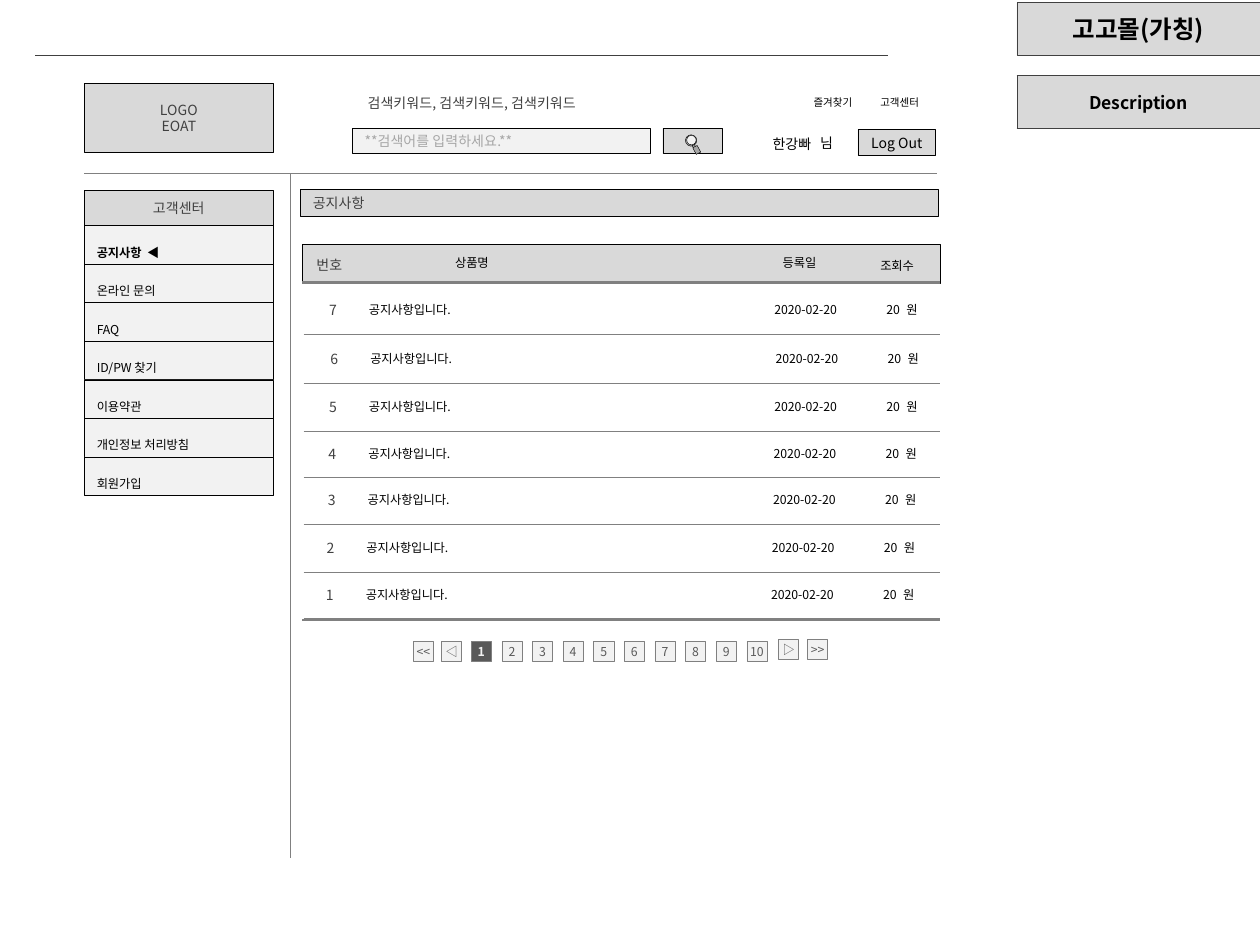
from dataclasses import dataclass

from lxml.etree import SubElement
from pptx import Presentation
from pptx.dml.color import RGBColor
from pptx.enum.shapes import MSO_CONNECTOR as Connector, MSO_SHAPE as Preset
from pptx.enum.text import MSO_ANCHOR as Anchor, MSO_AUTO_SIZE as AutoSize, PP_ALIGN as Align
from pptx.oxml.ns import qn
from pptx.util import Inches, Pt


@dataclass(frozen=True)
class Theme:
    font: str = "Noto Sans CJK KR"
    black: str = "000000"
    dark: str = "404040"
    strong: str = "595959"
    rule: str = "808080"
    muted: str = "A6A6A6"
    panel: str = "D9D9D9"
    light: str = "F2F2F2"
    title: float = 14
    heading: float = 10
    body: float = 8
    small: float = 7
    tiny: float = 6
    hairline: float = 0.25
    thin: float = 0.75
    thick: float = 1.5


THEME = Theme()
COLUMNS, ROWS = 100, 75
SLIDE_WIDTH, SLIDE_HEIGHT = Inches(10), Inches(7.5)
LEFT, CENTER, RIGHT = Align.LEFT, Align.CENTER, Align.RIGHT

MENU = ["공지사항  ◀", "온라인 문의", "FAQ", "ID/PW 찾기", "이용약관", "개인정보 처리방침", "회원가입"]
NOTICES = [
    ("7", 26.5, 0), ("6", 30.4, 0.1), ("5", 34.2, 0), ("4", 37.9, -0.05),
    ("3", 41.6, -0.1), ("2", 45.4, -0.2), ("1", 49.1, -0.25),
]


def col(count):
    return round(SLIDE_WIDTH * count / COLUMNS)


def row(count):
    return round(SLIDE_HEIGHT * count / ROWS)


def area(left, top, width, height):
    return col(left), row(top), col(width), row(height)


def write(frame, text, size, color, align=CENTER, bold=False, spacing=None):
    frame.text = text
    for paragraph in frame.paragraphs:
        paragraph.alignment = align
        if spacing:
            paragraph.line_spacing = spacing
        for run in paragraph.runs:
            run.font.size = Pt(size)
            run.font.bold = bold
            run.font.name = THEME.font
            run.font.color.rgb = RGBColor.from_string(color)
            SubElement(run.font._element, qn("a:ea"), typeface=THEME.font)


def remove_insets(frame):
    frame.margin_left = frame.margin_right = frame.margin_top = frame.margin_bottom = 0


def box(shapes, place, fill, outline=THEME.black, preset=Preset.RECTANGLE, turn=0):
    panel = shapes.add_shape(preset, *area(*place))
    panel.shadow.inherit = False
    panel.fill.solid()
    panel.fill.fore_color.rgb = RGBColor.from_string(fill)
    panel.line.color.rgb = RGBColor.from_string(outline)
    panel.line.width = Pt(THEME.hairline)
    panel.rotation = turn
    return panel


def labelled_box(shapes, place, fill, text, size, color, outline=THEME.black, tight=False, **style):
    frame = box(shapes, place, fill, outline).text_frame
    frame.word_wrap = True
    frame.vertical_anchor = Anchor.MIDDLE
    if tight:
        remove_insets(frame)
    write(frame, text, size, color, **style)


def label(shapes, place, text, size, color=THEME.black, align=LEFT, middle=False, wrap=True, tight=False):
    frame = shapes.add_textbox(*area(*place)).text_frame
    frame.word_wrap = wrap
    frame.auto_size = AutoSize.NONE if middle else AutoSize.SHAPE_TO_FIT_TEXT
    frame.vertical_anchor = Anchor.MIDDLE if middle else Anchor.TOP
    if tight:
        remove_insets(frame)
    write(frame, text, size, color, align)


def rule(shapes, start, end, color=THEME.rule, weight=THEME.hairline):
    stroke = shapes.add_connector(
        Connector.STRAIGHT, col(start[0]), row(start[1]), col(end[0]), row(end[1]))
    stroke.line.color.rgb = RGBColor.from_string(color)
    stroke.line.width = Pt(weight)
    SubElement(stroke._element.spPr, qn("a:effectLst"))


def description_table(shapes):
    table = shapes.add_table(1, 1, *area(80.7, 6, 19.3, 4.2)).table
    table.first_row = table.horz_banding = False
    cell = table.cell(0, 0)
    cell.vertical_anchor = Anchor.MIDDLE
    write(cell.text_frame, "Description", THEME.heading, THEME.black, bold=True)
    properties = cell._tc.get_or_add_tcPr()
    for side in ("lnL", "lnR", "lnT", "lnB"):
        border = SubElement(properties, qn(f"a:{side}"), w=str(Pt(THEME.hairline)))
        SubElement(SubElement(border, qn("a:solidFill")), qn("a:srgbClr"), val=THEME.dark)
    cell.fill.solid()
    cell.fill.fore_color.rgb = RGBColor.from_string(THEME.panel)


def search_button(shapes):
    parts = shapes.add_group_shape().shapes
    box(parts, (52.6, 10.2, 4.75, 2), THEME.panel)
    box(parts, (54.4, 10.7, 0.9, 0.9), THEME.muted, preset=Preset.OVAL, turn=332.1)
    box(parts, (54.5, 10.75, 0.75, 0.75), THEME.light, preset=Preset.OVAL, turn=332.1)
    box(parts, (55, 11.5, 0.2, 0.3), THEME.muted, turn=332.1)
    box(parts, (55.1, 11.6, 0.4, 0.6), THEME.muted, turn=332.1)


def page_header(shapes):
    labelled_box(shapes, (80.7, 0.2, 19.3, 4.2), THEME.panel, "고고몰(가칭)",
                 THEME.title, THEME.black, outline=THEME.dark, bold=True)
    description_table(shapes)
    rule(shapes, (2.8, 4.4), (70.5, 4.4), THEME.dark, THEME.thin)
    labelled_box(shapes, (6.7, 6.6, 15, 5.5), THEME.panel, "LOGO\nEOAT", THEME.body, THEME.dark)
    labelled_box(shapes, (27.95, 10.2, 23.7, 2), THEME.light, "**검색어를 입력하세요.**",
                 THEME.body, THEME.muted, align=LEFT)
    search_button(shapes)
    label(shapes, (28.2, 7, 23.6, 2.4), "검색키워드, 검색키워드, 검색키워드", THEME.body, THEME.dark)
    label(shapes, (58.9, 10.4, 5.5, 2), "한강빠", THEME.body, align=RIGHT, middle=True, tight=True)
    label(shapes, (64.1, 10.2, 3.2, 2.4), "님", THEME.body)
    labelled_box(shapes, (68.1, 10.25, 6.15, 2.1), THEME.panel, "Log Out",
                 THEME.body, THEME.black, tight=True)
    for left, text in ((63.4, "즐겨찾기"), (68.7, "고객센터")):
        label(shapes, (left, 7.1, 5.4, 2), text, THEME.tiny, align=CENTER, wrap=False)
    rule(shapes, (6.7, 13.75), (74.4, 13.75))
    rule(shapes, (23, 13.75), (23, 68.1))


def side_menu(shapes):
    labelled_box(shapes, (6.7, 15.1, 15, 2.8), THEME.panel, "고객센터", THEME.body, THEME.dark)
    for index, entry in enumerate(MENU):
        labelled_box(shapes, (6.7, 17.9 + 3.06 * index, 15, 3.06), THEME.light, entry,
                     THEME.small, THEME.black, align=LEFT, bold=index == 0, spacing=2.0)


def notice_row(shapes, number, bottom, shift):
    top = bottom - 3
    for left, width, text, align in (
        (28.3, 30.5, "공지사항입니다.", LEFT),
        (58.9, 8.5, "2020-02-20", RIGHT),
        (63.9, 8.5, "20", RIGHT),
        (70.9, 2.9, "원", RIGHT),
    ):
        label(shapes, (left + shift, top, width, 2.2), text, THEME.small, align=align)
    label(shapes, (25.3 + shift, top + 0.1, 1.8, 2), number, THEME.body, THEME.dark, CENTER, middle=True)
    rule(shapes, (24.1, bottom), (74.6, bottom))


def notice_board(shapes):
    labelled_box(shapes, (23.85, 15, 50.6, 2.2), THEME.panel, "공지사항",
                 THEME.body, THEME.dark, align=LEFT)
    box(shapes, (24, 19.4, 50.6, 3.1), THEME.panel)
    label(shapes, (24, 20, 4.3, 2), "번호", THEME.body, THEME.dark, CENTER, middle=True)
    for left, top, width, heading in (
        (34.7, 19.8, 5.5, "상품명"), (60.7, 19.8, 5.5, "등록일"), (68, 20, 6.4, "조회수"),
    ):
        label(shapes, (left, top, width, 2.2), heading, THEME.small, align=CENTER)
    for notice in NOTICES:
        notice_row(shapes, *notice)
    for height in (22.4, 49.2):
        rule(shapes, (24, height), (74.6, height), weight=THEME.thick)


def pager(shapes):
    steps = [(32.8, 50.9, "<<"), (35.05, 50.9, "◁"), (61.8, 50.75, "▷"), (64.1, 50.75, ">>")]
    pages = [(37.4 + 2.43 * index, 50.9, str(index + 1)) for index in range(10)]
    for left, top, text in steps + pages:
        current = text == "1"
        labelled_box(shapes, (left, top, 1.6, 1.6), THEME.strong if current else THEME.light, text,
                     THEME.small, THEME.light if current else THEME.strong,
                     outline=THEME.rule, tight=True, bold=current)


def main():
    deck = Presentation()
    deck.slide_width, deck.slide_height = SLIDE_WIDTH, SLIDE_HEIGHT
    shapes = deck.slides.add_slide(deck.slide_layouts[6]).shapes
    page_header(shapes)
    side_menu(shapes)
    notice_board(shapes)
    pager(shapes)
    deck.save("out.pptx")


if __name__ == "__main__":
    main()
